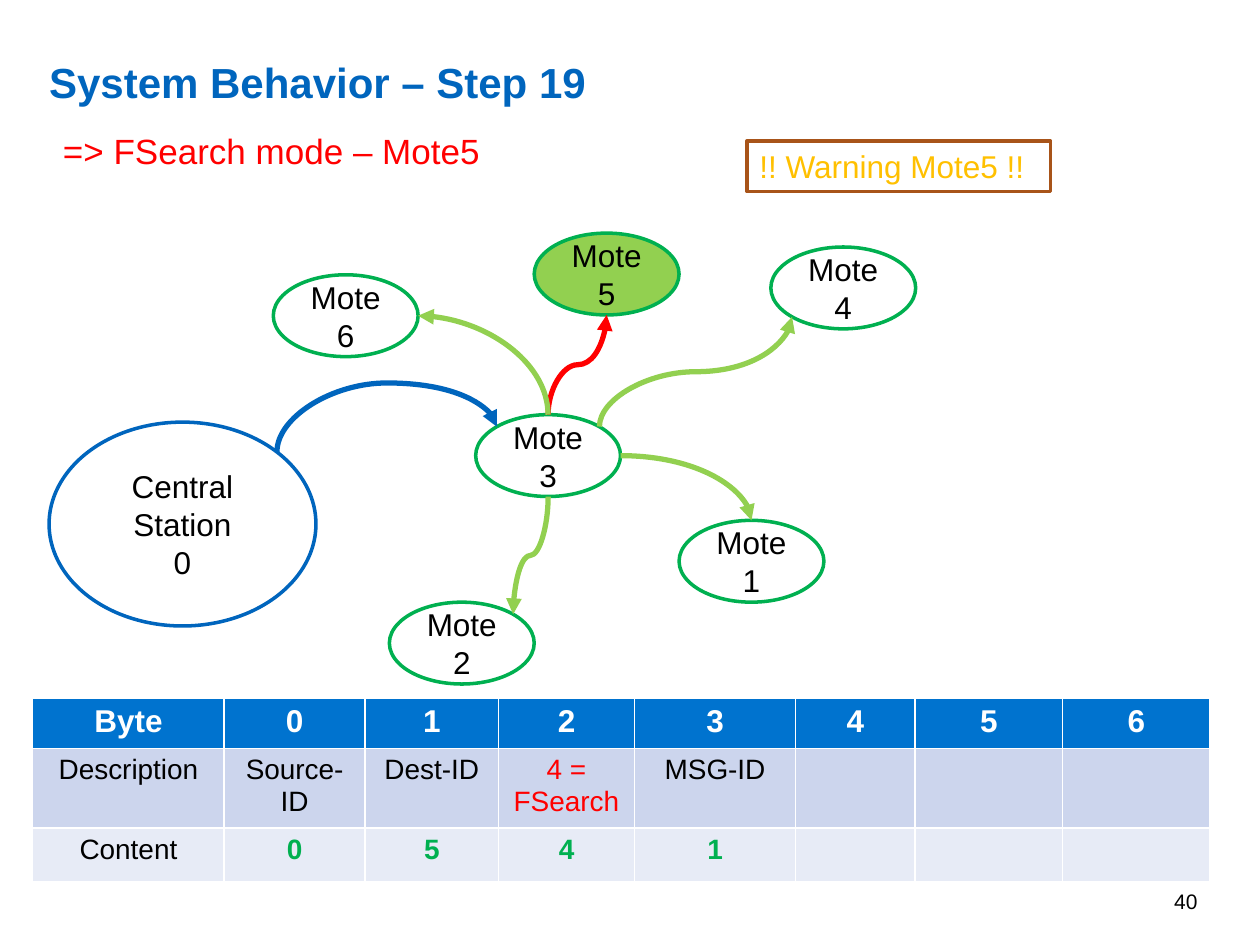
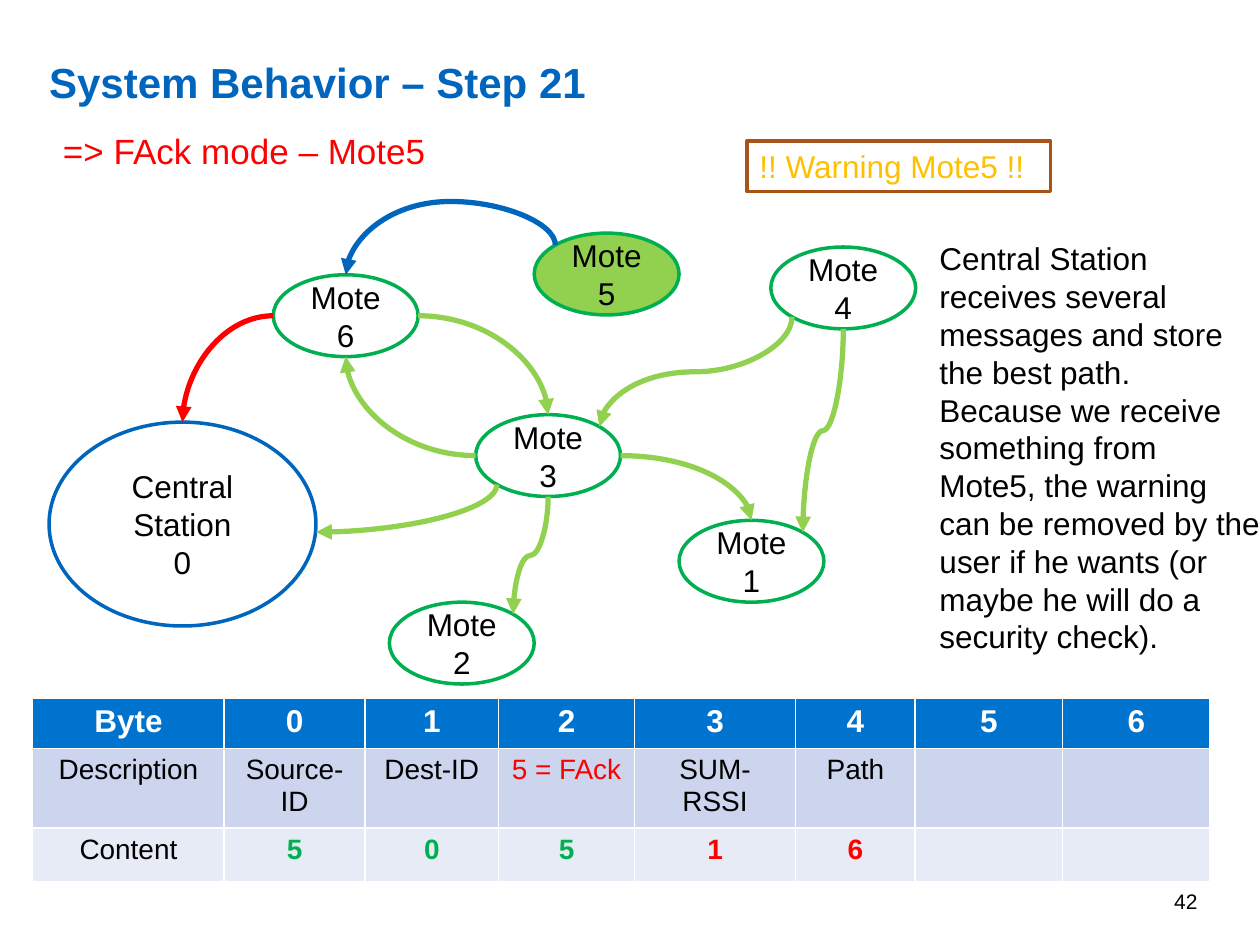
"""Build two slides that show how motes pass search and answer messages."""
from lxml import etree
from pptx import Presentation
from pptx.dml.color import RGBColor
from pptx.enum import shapes, text
from pptx.oxml import ns
from pptx.util import Cm, Pt

BLUE = RGBColor(0x00, 0x65, 0xBD)
HEAD = RGBColor(0x00, 0x73, 0xCF)
BAND = RGBColor(0xCC, 0xD5, 0xED)
PALE = RGBColor(0xE7, 0xEB, 0xF6)
RED = RGBColor(0xFF, 0x00, 0x00)
GREEN = RGBColor(0x00, 0xB0, 0x50)
LIME = RGBColor(0x92, 0xD0, 0x50)
AMBER = RGBColor(0xFF, 0xC0, 0x00)
BROWN = RGBColor(0xA8, 0x54, 0x19)
BLACK = RGBColor(0, 0, 0)
WHITE = RGBColor(0xFF, 0xFF, 0xFF)
LEFT, MID, RIGHT = text.PP_ALIGN.LEFT, text.PP_ALIGN.CENTER, text.PP_ALIGN.RIGHT

MOTE = (2.92, 1.65)
NODES = {
    0: (["Central Station", "0"], (0.99, 8.51, 5.38, 4.11), WHITE, BLUE),
    6: (["Mote 6"], (5.51, 5.54, *MOTE), WHITE, GREEN),
    5: (["Mote 5"], (10.77, 4.7, *MOTE), LIME, GREEN),
    2: (["Mote 2"], (7.85, 12.14, *MOTE), WHITE, GREEN),
    4: (["Mote 4"], (15.54, 4.98, *MOTE), None, GREEN),
    3: (["Mote 3"], (9.59, 8.36, *MOTE), WHITE, GREEN),
    1: (["Mote 1"], (13.69, 10.49, *MOTE), WHITE, GREEN),
}
NEAR, FAR = 0.146, 0.854
SITES = {
    "n": (0.5, 0, 0), "nw": (NEAR, NEAR, 1), "w": (0, 0.5, 2), "sw": (NEAR, FAR, 3),
    "s": (0.5, 1, 4), "se": (FAR, FAR, 5), "e": (1, 0.5, 6), "ne": (FAR, NEAR, 7),
    "low e": (1, 0.54, None),
}
FLAT = ("e", "w", "low e")

COLS = [3.86, 2.84, 2.69, 2.74, 3.25, 2.41, 2.97, 2.97]
ROWS = [0.97, 1.55, 1.07]
BYTES = ["Byte", "0", "1", "2", "3", "4", "5", "6"]

SLIDES = [
    {
        "page": "40",
        "title": "System Behavior – Step 19",
        "mode": "=> FSearch mode – Mote5",
        "desc": ["Source-ID", "Dest-ID", "4 = FSearch", "MSG-ID", "", "", ""],
        "data": ["0", "5", "4", "1", "", "", ""],
        "hot": (),
        "paths": [
            (0, "ne", 3, "nw", BLUE, 7.72),
            (3, "n", 5, "s", RED, None),
            (3, "ne", 4, "sw", LIME, None),
            (3, "e", 1, "n", LIME, None),
            (3, "s", 2, "ne", LIME, None),
            (3, "n", 6, "e", LIME, None),
        ],
        "note": [],
    },
    {
        "page": "42",
        "title": "System Behavior – Step 21",
        "mode": "=> FAck mode – Mote5",
        "desc": ["Source-ID", "Dest-ID", "5 = FAck", "SUM-RSSI", "Path", "", ""],
        "data": ["5", "0", "5", "1", "6", "", ""],
        "hot": (4, 5),
        "paths": [
            (5, "nw", 6, "n", BLUE, 4.06),
            (6, "w", 0, "n", RED, None),
            (6, "e", 3, "n", LIME, None),
            (4, "s", 1, "ne", LIME, None),
            (3, "e", 1, "n", LIME, None),
            (4, "sw", 3, "ne", LIME, None),
            (3, "s", 2, "ne", LIME, None),
            (3, "sw", 0, "low e", LIME, None),
            (3, "w", 6, "s", LIME, None),
        ],
        "note": [
            "Central Station receives several messages and store the best path.",
            "Because we receive something from Mote5, the warning can be removed by "
            "the user if he wants (or maybe he will do a security check).",
        ],
    },
]


def write(frame, lines, size, color, align=LEFT, bold=False, gap=None):
    """Fill a text frame with paragraphs of one format."""
    for i, line in enumerate(lines):
        para = frame.paragraphs[0] if i == 0 else frame.add_paragraph()
        para.text = line
        para.alignment = align
        para.line_spacing = gap
        para.font.color.rgb = color
        look = {"name": "Arial", "size": Pt(size), "bold": bold}
        for key, val in look.items():
            setattr(para.font, key, val)


def label(slide, box, lines, size, color, middle=False, inset=None, **look):
    """Add a text box."""
    frame = slide.shapes.add_textbox(*map(Cm, box)).text_frame
    frame.word_wrap = True
    if middle:
        frame.vertical_anchor = text.MSO_ANCHOR.MIDDLE
    if inset is not None:
        for side in ("left", "top", "right", "bottom"):
            setattr(frame, "margin_" + side, Cm(inset))
    write(frame, lines, size, color, **look)


def block(slide, kind, box, lines, fill, edge, ink, align):
    """Add an outlined shape with text."""
    shape = slide.shapes.add_shape(kind, *map(Cm, box))
    shape.shadow.inherit = False
    if fill is None:
        shape.fill.background()
    else:
        shape.fill.solid()
        shape.fill.fore_color.rgb = fill
    shape.line.color.rgb = edge
    shape.line.width = Pt(2)
    shape.text_frame.word_wrap = True
    write(shape.text_frame, lines, 18, ink, align)
    return shape


def spot(node, site):
    """Return the place of a site on a node's edge."""
    x, y, w, h = NODES[node][1]
    fx, fy, _ = SITES[site]
    return x + fx * w, y + fy * h


def curve(slide, ovals, start, out, end, into, color, crest):
    """Draw a curved arrow between two nodes, bowed to a crest if given."""
    (x1, y1), (x2, y2) = spot(start, out), spot(end, into)
    line = slide.shapes.add_connector(shapes.MSO_CONNECTOR.CURVE, 0, 0, 0, 0)
    ends = line._element.nvCxnSpPr.cNvCxnSpPr
    if SITES[out][2] is not None:
        line.begin_connect(ovals[start], 0)
        ends.stCxn.idx = SITES[out][2]
    if SITES[into][2] is not None:
        line.end_connect(ovals[end], 0)
        ends.endCxn.idx = SITES[into][2]

    dx, dy = x2 - x1, y2 - y1
    flat = out in FLAT
    along, cross = (dx, dy) if flat else (dy, -dx)
    w, h = abs(along), abs(cross)
    place = {"left": (x1 + x2 - w) / 2, "top": (y1 + y2 - h) / 2, "width": w, "height": h}
    for key, val in place.items():
        setattr(line, key, Cm(val))
    props = line._element.spPr
    frame = props.find(ns.qn("a:xfrm"))
    turn = {"rot": 0 if flat else 5400000, "flipH": int(along < 0), "flipV": int(cross < 0)}
    for key, val in turn.items():
        frame.set(key, str(val))

    shape = props.find(ns.qn("a:prstGeom"))
    bends = 3 if flat == (into in FLAT) else 2
    shape.set("prst", f"curvedConnector{bends}")
    if crest:
        ratio = round((crest - y1) / dy * 100000)
        guides = shape.find(ns.qn("a:avLst"))
        if guides is None:
            guides = etree.SubElement(shape, ns.qn("a:avLst"))
        etree.SubElement(guides, ns.qn("a:gd"), name="adj1", fmla=f"val {ratio}")

    line.line.color.rgb = color
    line.line.width = Pt(3)
    etree.SubElement(line.line._get_or_add_ln(), ns.qn("a:tailEnd"), type="triangle")
    etree.SubElement(props, ns.qn("a:effectLst"))


def grid(slide, item):
    """Add the table of message bytes."""
    box = (0.66, 14.07, sum(COLS), sum(ROWS))
    table = slide.shapes.add_table(len(ROWS), len(COLS), *map(Cm, box)).table
    for col, width in zip(table.columns, COLS):
        col.width = Cm(width)
    rows = [BYTES, ["Description", *item["desc"]], ["Content", *item["data"]]]
    for r, (words, high, fill) in enumerate(zip(rows, ROWS, (HEAD, BAND, PALE))):
        table.rows[r].height = Cm(high)
        for c, word in enumerate(words):
            cell = table.cell(r, c)
            cell.fill.solid()
            cell.fill.fore_color.rgb = fill
            ink = WHITE if r == 0 else BLACK
            if (r, c) == (1, 3) or r == 2 and c in item["hot"]:
                ink = RED
            elif r == 2 and c:
                ink = GREEN
            bold = r == 0 or r == 2 and c > 0
            write(cell.text_frame, [word], 16 if r else 18, ink, MID, bold)


def build(deck, item):
    """Add one slide."""
    slide = deck.slides.add_slide(deck.slide_layouts[6])
    label(slide, (18.47, 17.65, 5.92, 1.02), [item["page"]], 12, BLACK, True, align=RIGHT)
    label(slide, (0.99, 1.02, 19.91, 0.99), [item["title"]], 24, BLUE, True, 0,
          bold=True, gap=1.25)
    oval = shapes.MSO_SHAPE.OVAL
    ovals = {key: block(slide, oval, box, lines, fill, edge, BLACK, MID)
             for key, (lines, box, fill, edge) in NODES.items()}
    label(slide, (1.02, 2.49, 10, 1.12), [item["mode"]], 20, RED)
    grid(slide, item)
    block(slide, shapes.MSO_SHAPE.RECTANGLE, (15.06, 2.84, 6.12, 1.02),
          ["!! Warning Mote5 !!"], WHITE, BROWN, AMBER, LEFT)
    for path in item["paths"]:
        curve(slide, ovals, *path)
    if item["note"]:
        label(slide, (18.69, 4.7, 6.96, 8.71), item["note"], 18, BLACK)


def main():
    """Save the deck."""
    deck = Presentation()
    deck.slide_width, deck.slide_height = Cm(25.4), Cm(19.05)
    for item in SLIDES:
        build(deck, item)
    deck.save("out.pptx")


if __name__ == "__main__":
    main()
